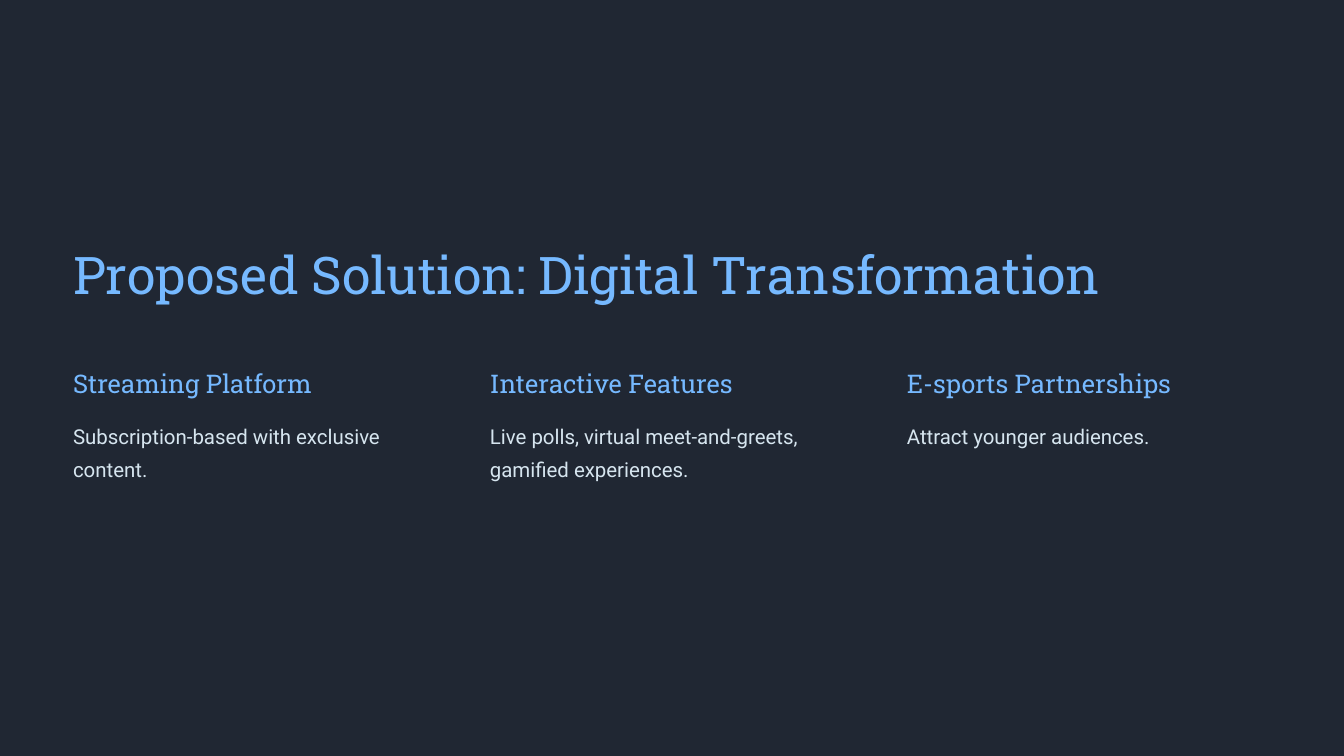
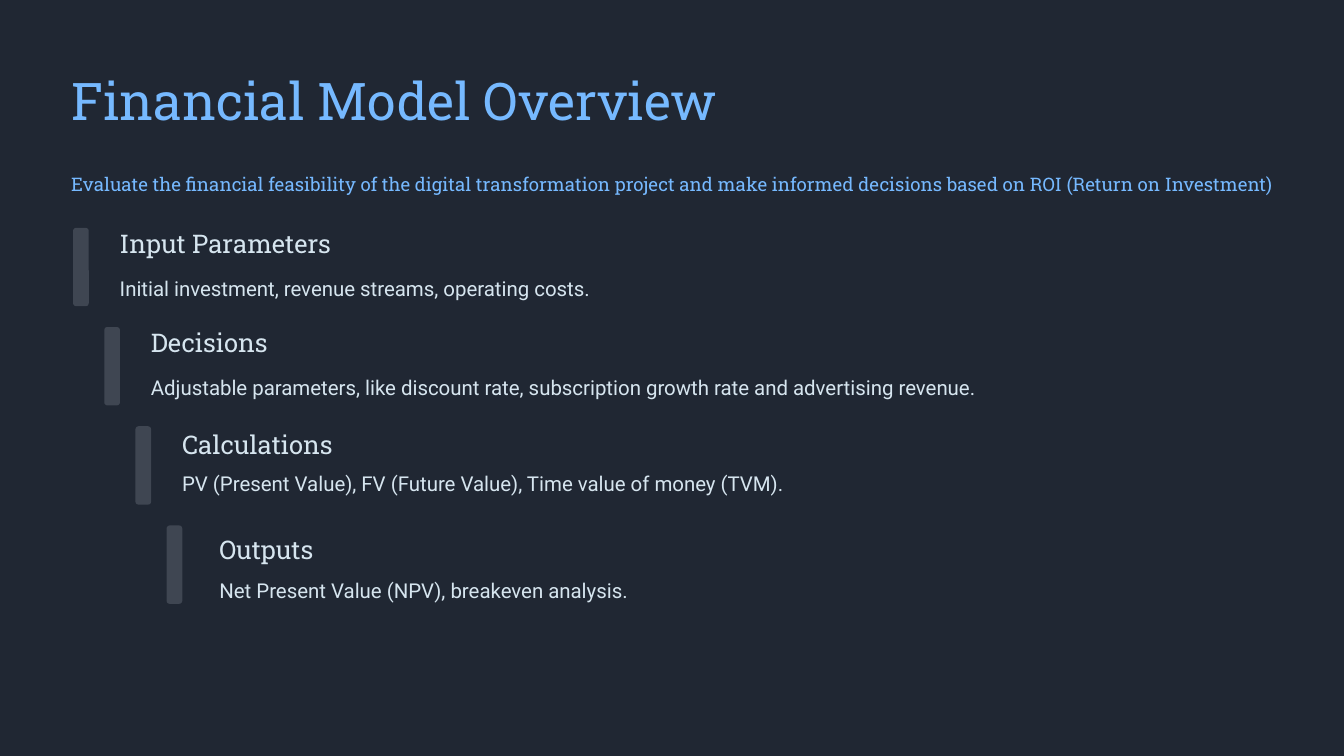
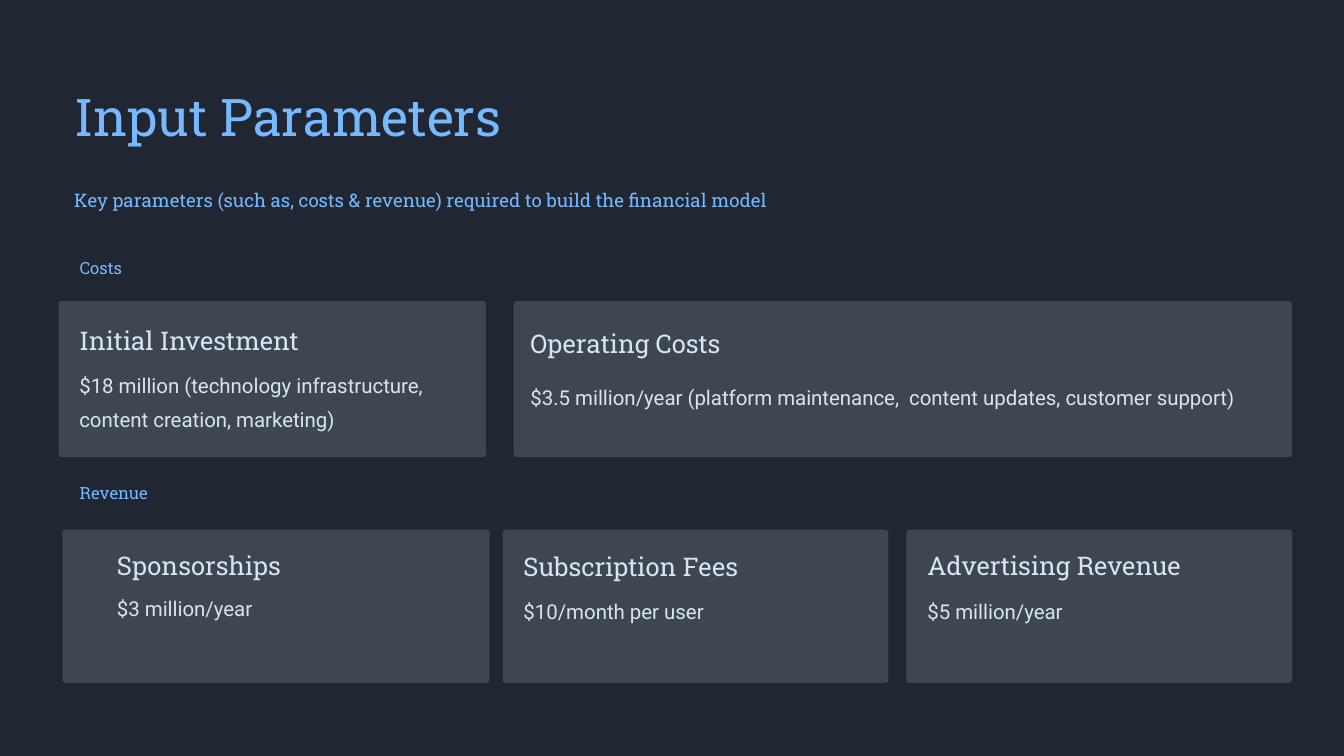
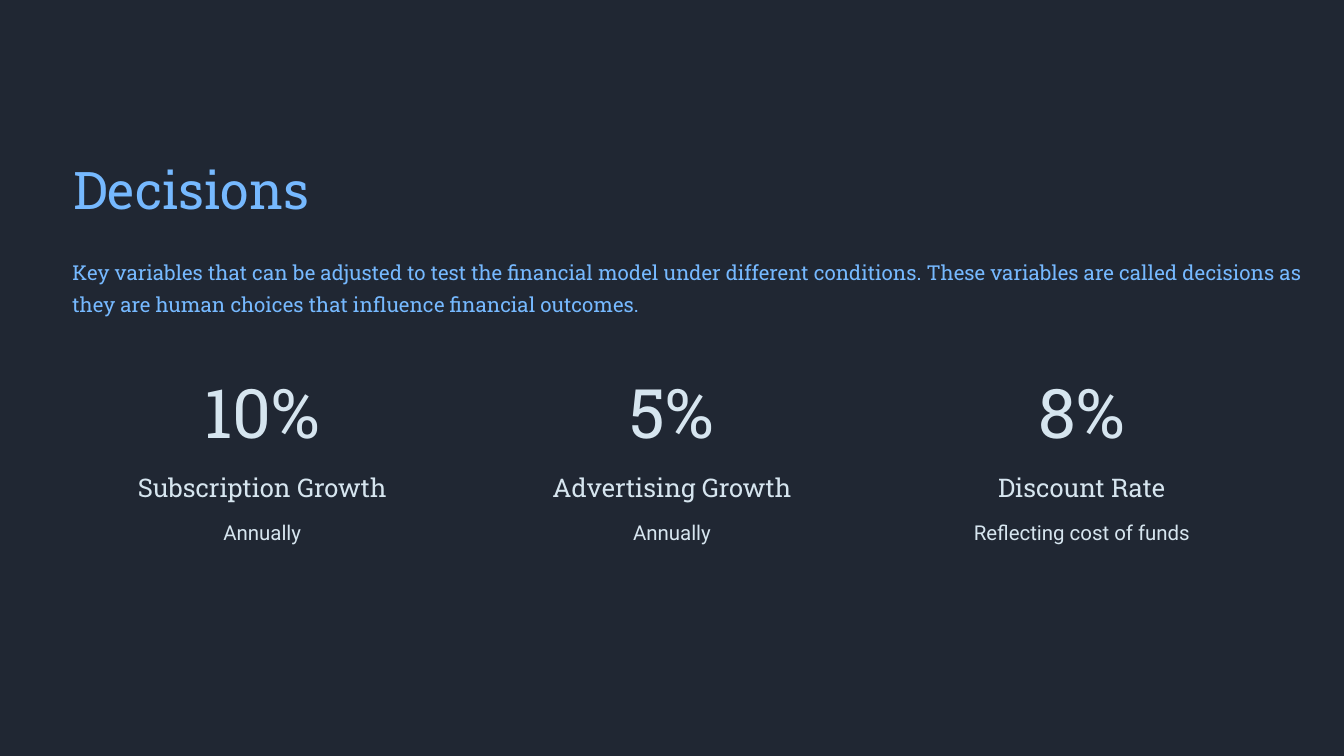
from pptx import Presentation
from pptx.dml.color import RGBColor
from pptx.enum.shapes import MSO_SHAPE as Shape
from pptx.enum.text import MSO_ANCHOR as Anchor, MSO_AUTO_SIZE as AutoSize, PP_ALIGN as Align
from pptx.util import Pt

COLORS = {
    "background": "171B21",
    "backdrop": "202733",
    "panel": "3F4652",
    "accent": "76B9FF",
    "light": "D6E5EF",
}

SLAB, SANS = "Roboto Slab", "Roboto"
STYLES = {
    "title": (SLAB, 55.6, "accent", 69.4),
    "subtitle": (SLAB, 20, "accent", 69.4),
    "intro": (SLAB, 22, "accent", 34.4),
    "label": (SLAB, 18, "accent", None),
    "accent heading": (SLAB, 27.5, "accent", 34.4),
    "heading": (SLAB, 27.5, "light", 34.4),
    "detail": (SANS, 21.87, "light", 35.6),
    "figure": (SLAB, 73.1, "light", 73.1),
}

SLIDE_WIDTH, SLIDE_HEIGHT = 1440, 810
MARGIN = 78.3
HEADING_WIDTH, HEADING_HEIGHT = 279.4, 36
DETAIL_HEIGHT = 41
CORNER = 3.3

SOLUTIONS = [
    ("Streaming Platform", "Subscription-based with exclusive content."),
    ("Interactive Features", "Live polls, virtual meet-and-greets, gamified experiences."),
    ("E-sports Partnerships", "Attract younger audiences."),
]

OVERVIEW_SUBTITLE = (
    "Evaluate the financial feasibility of the digital transformation project "
    "and make informed decisions based on ROI (Return on Investment)"
)
# heading, detail, then text inset, heading drop and detail drop from the bar
STEPS = [
    ("Input Parameters", "Initial investment, revenue streams, operating costs.", 50, -1.4, 42.5),
    ("Decisions", "Adjustable parameters, like discount rate, subscription growth rate "
     "and advertising revenue.", 50, -1.4, 42.5),
    ("Calculations", "PV (Present Value), FV (Future Value), Time value of money (TVM).", 50, 1.4, 39),
    ("Outputs", "Net Present Value (NPV), breakeven analysis.", 56.5, 7.7, 47.5),
]

PARAMETERS_SUBTITLE = "Key parameters (such as, costs & revenue) required to build the financial model"
# heading, detail, card left and width, text inset, heading drop, detail drop, detail width
CARD_ROWS = [
    ("Costs", 273, 322.6, 167.3, [
        ("Initial Investment", "$18 million (technology infrastructure, content creation, marketing)",
         62.8, 457.9, 22.2, 24.5, 68.1, 422.6),
        ("Operating Costs", "$3.5 million/year (platform maintenance,  content updates, customer support)",
         550.4, 833.8, 17.9, 27.4, 81.1, 768.2),
    ]),
    ("Revenue", 513.4, 567.4, 164.2, [
        ("Sponsorships", "$3 million/year", 66.8, 457.9, 58.5, 19.8, 61.9, 586),
        ("Subscription Fees", "$10/month per user", 538.6, 413.3, 22.3, 21.6, 65.5, 368.6),
        ("Advertising Revenue", "$5 million/year", 971.1, 413.3, 22.5, 20.8, 64.8, 368.6),
    ]),
]

DECISIONS_INTRO = (
    "Key variables that can be adjusted to test the financial model under different conditions. "
    "These variables are called decisions as they are human choices that influence financial outcomes."
)
DECISIONS = [
    ("10%", "Subscription Growth", "Annually"),
    ("5%", "Advertising Growth", "Annually"),
    ("8%", "Discount Rate", "Reflecting cost of funds"),
]


def color(name):
    return RGBColor.from_string(COLORS[name])


def format_paragraph(paragraph, style, align=Align.LEFT):
    font_name, size, color_name, line_spacing = STYLES[style]
    paragraph.alignment = align
    if line_spacing:
        paragraph.line_spacing = Pt(line_spacing)
    for run in paragraph.runs:
        run.font.name = font_name
        run.font.size = Pt(size)
        run.font.color.rgb = color(color_name)


def prepare_frame(frame, inset_x=0, inset_y=0):
    frame.word_wrap = True
    frame.auto_size = AutoSize.NONE
    frame.vertical_anchor = Anchor.TOP
    frame.margin_left = frame.margin_right = Pt(inset_x)
    frame.margin_top = frame.margin_bottom = Pt(inset_y)


def add_text(slide, text, style, left, top, width, height, align=Align.LEFT, insets=(0, 0)):
    frame = slide.shapes.add_textbox(Pt(left), Pt(top), Pt(width), Pt(height)).text_frame
    prepare_frame(frame, *insets)
    frame.text = text
    format_paragraph(frame.paragraphs[0], style, align)


def add_block(slide, kind, color_name, left, top, width, height):
    block = slide.shapes.add_shape(kind, Pt(left), Pt(top), Pt(width), Pt(height))
    block.shadow.inherit = False
    block.fill.solid()
    block.fill.fore_color.rgb = color(color_name)
    block.line.fill.background()
    return block


def add_panel(slide, left, top, width, height):
    panel = add_block(slide, Shape.ROUNDED_RECTANGLE, "panel", left, top, width, height)
    panel.adjustments[0] = CORNER / min(width, height)


def add_slide(presentation, title_lines, left, top, width, height=70.6):
    slide = presentation.slides.add_slide(presentation.slide_layouts.get_by_name("Title Only"))
    title = slide.shapes.title
    backdrop = add_block(slide, Shape.RECTANGLE, "backdrop", 0, 0, SLIDE_WIDTH, SLIDE_HEIGHT)
    title.element.addprevious(backdrop.element)
    title.left, title.top, title.width, title.height = Pt(left), Pt(top), Pt(width), Pt(height)
    prepare_frame(title.text_frame)
    title.text_frame.text = "\n".join(title_lines)
    for paragraph, style in zip(title.text_frame.paragraphs, ("title", "subtitle")):
        format_paragraph(paragraph, style)
    return slide


def build_solution(presentation):
    slide = add_slide(presentation, ["Proposed Solution: Digital Transformation"], MARGIN, 257, 1253.5, 80.6)
    for index, (heading, detail) in enumerate(SOLUTIONS):
        left = MARGIN + 446.7 * index
        add_text(slide, heading, "accent heading", left, 392.4, 318, HEADING_HEIGHT)
        add_text(slide, detail, "detail", left, 445, 391.7, 77)


def build_overview(presentation):
    slide = add_slide(presentation, ["Financial Model Overview", OVERVIEW_SUBTITLE], 76.3, 70.6, 1423.4)
    for index, (heading, detail, inset, heading_drop, detail_drop) in enumerate(STEPS):
        left, top = MARGIN + 33.4 * index, 244.1 + 106.3 * index
        add_panel(slide, left, top, 16.8, 84)
        add_text(slide, heading, "heading", left + inset, top + heading_drop, HEADING_WIDTH, HEADING_HEIGHT)
        add_text(slide, detail, "detail", left + inset, top + detail_drop,
                 1233.4 - 33.4 * index, DETAIL_HEIGHT)


def build_parameters(presentation):
    slide = add_slide(presentation, ["Input Parameters", PARAMETERS_SUBTITLE], 79.4, 87.8, 870.5)
    for label, label_top, top, height, cards in CARD_ROWS:
        add_text(slide, label, "label", MARGIN, label_top, 133.2, 28.8, insets=(7.2, 3.6))
        for heading, detail, left, width, inset, heading_drop, detail_drop, detail_width in cards:
            add_panel(slide, left, top, width, height)
            add_text(slide, heading, "heading", left + inset, top + heading_drop,
                     HEADING_WIDTH, HEADING_HEIGHT)
            add_text(slide, detail, "detail", left + inset, top + detail_drop,
                     detail_width, DETAIL_HEIGHT)


def build_decisions(presentation):
    slide = add_slide(presentation, ["Decisions"], MARGIN, 166, 558)
    add_text(slide, DECISIONS_INTRO, "intro", 77.6, 270.7, 1337.8, 75)
    width = 405.4
    for index, (figure, heading, detail) in enumerate(DECISIONS):
        left = MARGIN + 439 * index
        add_text(slide, figure, "figure", left, 411.8, width, 110.9, Align.CENTER)
        add_text(slide, heading, "heading", left + (width - HEADING_WIDTH) / 2, 504,
                 HEADING_WIDTH, HEADING_HEIGHT, Align.CENTER)
        add_text(slide, detail, "detail", left, 548, width, DETAIL_HEIGHT, Align.CENTER)


def main():
    presentation = Presentation()
    presentation.slide_width, presentation.slide_height = Pt(SLIDE_WIDTH), Pt(SLIDE_HEIGHT)
    background = presentation.slide_master.background.fill
    background.solid()
    background.fore_color.rgb = color("background")
    for build in (build_solution, build_overview, build_parameters, build_decisions):
        build(presentation)
    presentation.save("out.pptx")


if __name__ == "__main__":
    main()
